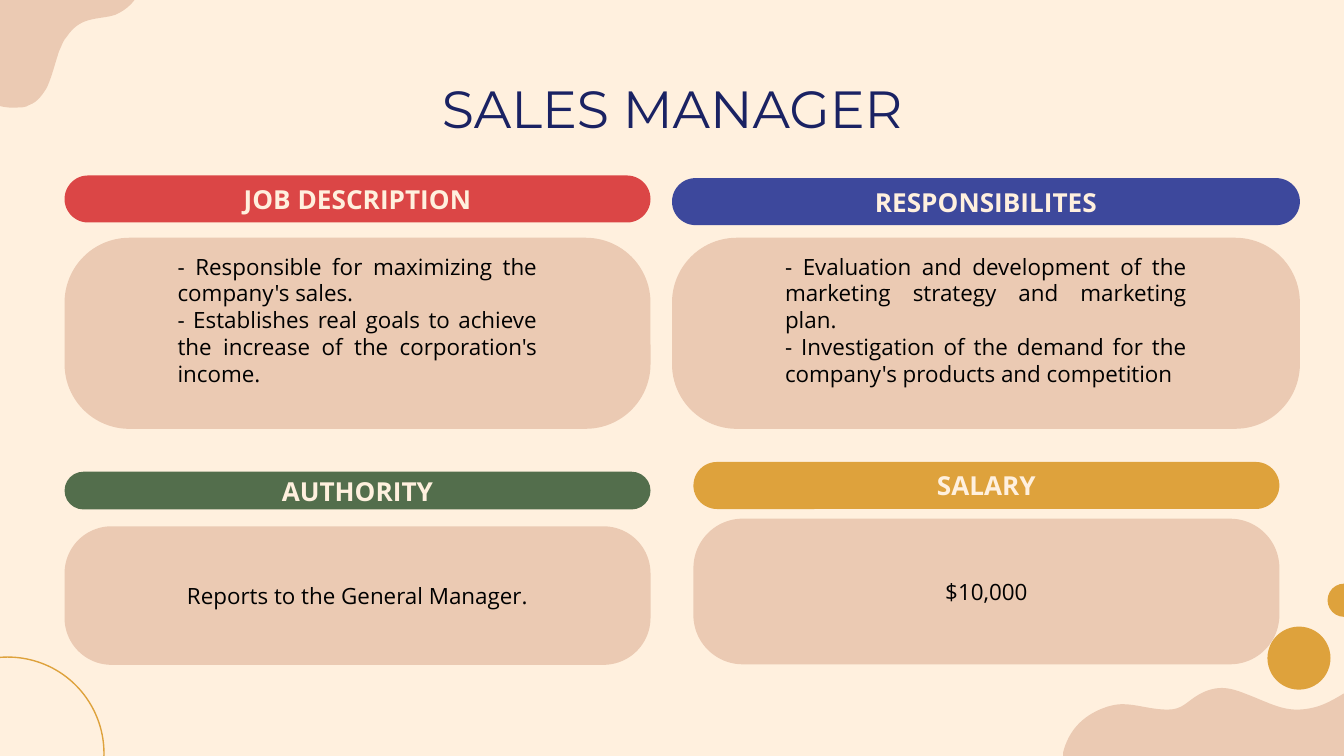
from dataclasses import dataclass

from lxml import etree
from pptx import Presentation
from pptx.dml.color import RGBColor
from pptx.enum import shapes, text
from pptx.oxml import ns
from pptx.util import Pt


@dataclass(frozen=True)
class Theme:
    cream: str = "FFF0DE"
    sand: str = "EBCAB3"
    gold: str = "DEA23C"
    red: str = "DB4646"
    blue: str = "3D489C"
    green: str = "536E4C"
    navy: str = "1A2263"
    black: str = "000000"
    title_font: str = "Montserrat"
    body_font: str = "Open Sans"
    title_size: int = 28
    header_size: int = 14
    body_size: int = 12


THEME = Theme()
CENTER, JUSTIFY = text.PP_ALIGN.CENTER, text.PP_ALIGN.JUSTIFY

# Outlines in points: a start, then two control points and an end per curve
WAVE_START = (720, 371.5)
WAVE_CURVES = [
    ((716.4, 373.7), (712.8, 375.8), (709.2, 377.3)),
    ((704.2, 379.4), (699.1, 380.2), (694.8, 380.2)),
    ((685.4, 380.2), (678.2, 375.8), (666.7, 371.5)),
    ((663.1, 370.1), (658.8, 368.6), (654.5, 368.6)),
    ((650.2, 368.6), (645.8, 370.1), (642.2, 372.2)),
    ((635.8, 375.8), (633.6, 380.2), (625.7, 380.2)),
    ((616.3, 380.2), (609.1, 377.3), (601.2, 377.3)),
    ((598.3, 377.3), (594.7, 378), (591.1, 379.4)),
    ((579.6, 383.8), (572.4, 391.7), (569.5, 403.2)),
]
WAVE_BASE = [(569.5, 405), (720, 405)]
BLOB_START = (61.9, 7.9)
BLOB_CURVES = [
    ((57.6, 9.4), (52.6, 9.4), (47.5, 10.8)),
    ((42.5, 12.2), (38.9, 15.1), (36, 19.4)),
    ((33.8, 21.6), (33.1, 24.5), (31.7, 27.4)),
    ((29.5, 33.8), (28.1, 40.3), (25.2, 46.8)),
    ((23, 50.4), (20.2, 54.7), (15.8, 56.2)),
    ((13.7, 57.6), (11.5, 57.6), (8.6, 57.6)),
    ((-1.4, 58.3), (-11.5, 53.3), (-15.8, 45.4)),
    ((-18.7, 39.6), (-19.4, 33.1), (-20.2, 27.4)),
    ((-20.2, 22.3), (-20.2, 16.6), (-18, 11.5)),
    ((-16.6, 7.9), (-13.7, 5), (-11.5, 1.4)),
    ((-7.9, -2.2), (-5, -6.5), (0, -9.4)),
    ((4.3, -11.5), (9.4, -13), (15.1, -13.7)),
    ((26.6, -15.1), (38.2, -14.4), (50.4, -12.2)),
    ((54.7, -11.5), (58.3, -10.8), (63.4, -10.8)),
    ((64.8, -10.8), (67, -10.8), (69.1, -11.5)),
    ((70.6, -12.2), (72.7, -13.7), (74.9, -13)),
    ((77.8, -13), (75.6, -7.9), (74.9, -5.8)),
    ((73.4, 0), (68.4, 5), (61.9, 7.9)),
]


def set_attributes(target, values):
    for name, value in values.items():
        setattr(target, name, value)


def paint(shape, fill=None, line=None):
    shape.shadow.inherit = False
    for part, color in ((shape.fill, fill), (shape.line.fill, line)):
        if color:
            part.solid()
            part.fore_color.rgb = RGBColor.from_string(color)
        else:
            part.background()


def write_text(shape, lines, align, insets, font_name, size, color, bold=False):
    """Fill a shape's text frame; insets are left, top, right, bottom."""
    frame = shape.text_frame
    sides = ("margin_left", "margin_top", "margin_right", "margin_bottom")
    set_attributes(frame, {side: Pt(inset) for side, inset in zip(sides, insets)})
    set_attributes(frame, {
        "word_wrap": True,
        "auto_size": text.MSO_AUTO_SIZE.NONE,
        "vertical_anchor": text.MSO_ANCHOR.MIDDLE,
    })
    frame.text = "\n".join(lines)
    for paragraph in frame.paragraphs:
        paragraph.alignment = align
        for run in paragraph.runs:
            set_attributes(run.font, {"name": font_name, "size": Pt(size), "bold": bold})
            run.font.color.rgb = RGBColor.from_string(color)


def add_preset(slide, kind, box, **colors):
    shape = slide.shapes.add_shape(kind, *(Pt(length) for length in box))
    paint(shape, **colors)
    return shape


def add_rounded(slide, box, fill, rounding):
    shape = add_preset(slide, shapes.MSO_SHAPE.ROUNDED_RECTANGLE, box, fill=fill)
    shape.adjustments[0] = rounding
    return shape


def add_header(slide, box, label, fill):
    shape = add_rounded(slide, box, fill, 0.5)
    write_text(shape, [label], CENTER, [7.2] * 4,
               THEME.body_font, THEME.header_size, THEME.cream, True)


def add_panel(slide, box, lines, align, top_inset, bottom_inset):
    shape = add_rounded(slide, box, THEME.sand, 0.339)
    write_text(shape, lines, align, (50.4, top_inset, 50.4, bottom_inset),
               THEME.body_font, THEME.body_size, THEME.black)


def add_blob(slide, start, curves, corners=()):
    """Draw the curve ends as a freeform, then bend its first segments."""
    ends = [curve[-1] for curve in curves] + list(corners)
    builder = slide.shapes.build_freeform(Pt(start[0]), Pt(start[1]))
    builder.add_line_segments([(Pt(x), Pt(y)) for x, y in ends])
    shape = builder.convert_to_shape()
    paint(shape, fill=THEME.sand)
    segments = list(shape.element.iter(ns.qn("a:lnTo")))
    for segment, curve in zip(segments, curves):
        bend = etree.Element(ns.qn("a:cubicBezTo"))
        for x, y in curve:
            etree.SubElement(bend, ns.qn("a:pt"), x=str(Pt(x) - shape.left),
                             y=str(Pt(y) - shape.top))
        segment.getparent().replace(segment, bend)


def add_circle(slide, left, top, diameter, **colors):
    return add_preset(slide, shapes.MSO_SHAPE.OVAL,
                      (left, top, diameter, diameter), **colors)


def add_title(slide, label):
    title = slide.shapes.title
    set_attributes(title, {"left": Pt(56.2), "top": Pt(34.9),
                           "width": Pt(607.7), "height": Pt(45.4)})
    write_text(title, [label], CENTER, [7.2] * 4,
               THEME.title_font, THEME.title_size, THEME.navy)


def main():
    presentation = Presentation()
    set_attributes(presentation, {"slide_width": Pt(720), "slide_height": Pt(405)})
    slide = presentation.slides.add_slide(presentation.slide_layouts[5])
    background = slide.background.fill
    background.solid()
    background.fore_color.rgb = RGBColor.from_string(THEME.cream)

    # Corner decorations
    add_blob(slide, WAVE_START, WAVE_CURVES, WAVE_BASE)
    add_blob(slide, BLOB_START, BLOB_CURVES)
    add_circle(slide, 679, 335.7, 33.8, fill=THEME.gold)
    add_circle(slide, 711.2, 312.7, 17.8, fill=THEME.gold)
    ring = add_circle(slide, -47.5, 352, 103.2, line=THEME.gold)
    ring.line.width = Pt(0.75)

    add_title(slide, "SALES MANAGER")

    # Sections: label, colour, left, width, header (top, height),
    # panel (top, height), text, alignment, (top, bottom) insets
    sections = [
        ("JOB DESCRIPTION", THEME.red, 34.6, 313.9, (94, 25.2), (127.4, 102.4),
         ["- Responsible for maximizing the company's sales.",
          "- Establishes real goals to achieve the increase of the corporation's income."],
         JUSTIFY, (0, 14.4)),
        ("RESPONSIBILITES", THEME.blue, 360, 336.4, (95.4, 25.2), (127.4, 102.4),
         ["- Evaluation and development of the marketing strategy and marketing plan.",
          "- Investigation of the demand for the company's products and competition"],
         JUSTIFY, (0, 14.4)),
        ("AUTHORITY", THEME.green, 34.6, 313.9, (252.7, 20.2), (282, 74.2),
         ["Reports to the General Manager."], CENTER, (7.2, 7.2)),
        ("SALARY", THEME.gold, 371.5, 313.9, (247.5, 25.2), (277.9, 78),
         ["$10,000"], CENTER, (7.2, 7.2)),
    ]
    for label, color, left, width, header, panel, lines, align, insets in sections:
        add_panel(slide, (left, panel[0], width, panel[1]), lines, align, *insets)
        add_header(slide, (left, header[0], width, header[1]), label, color)

    presentation.save("out.pptx")


if __name__ == "__main__":
    main()
